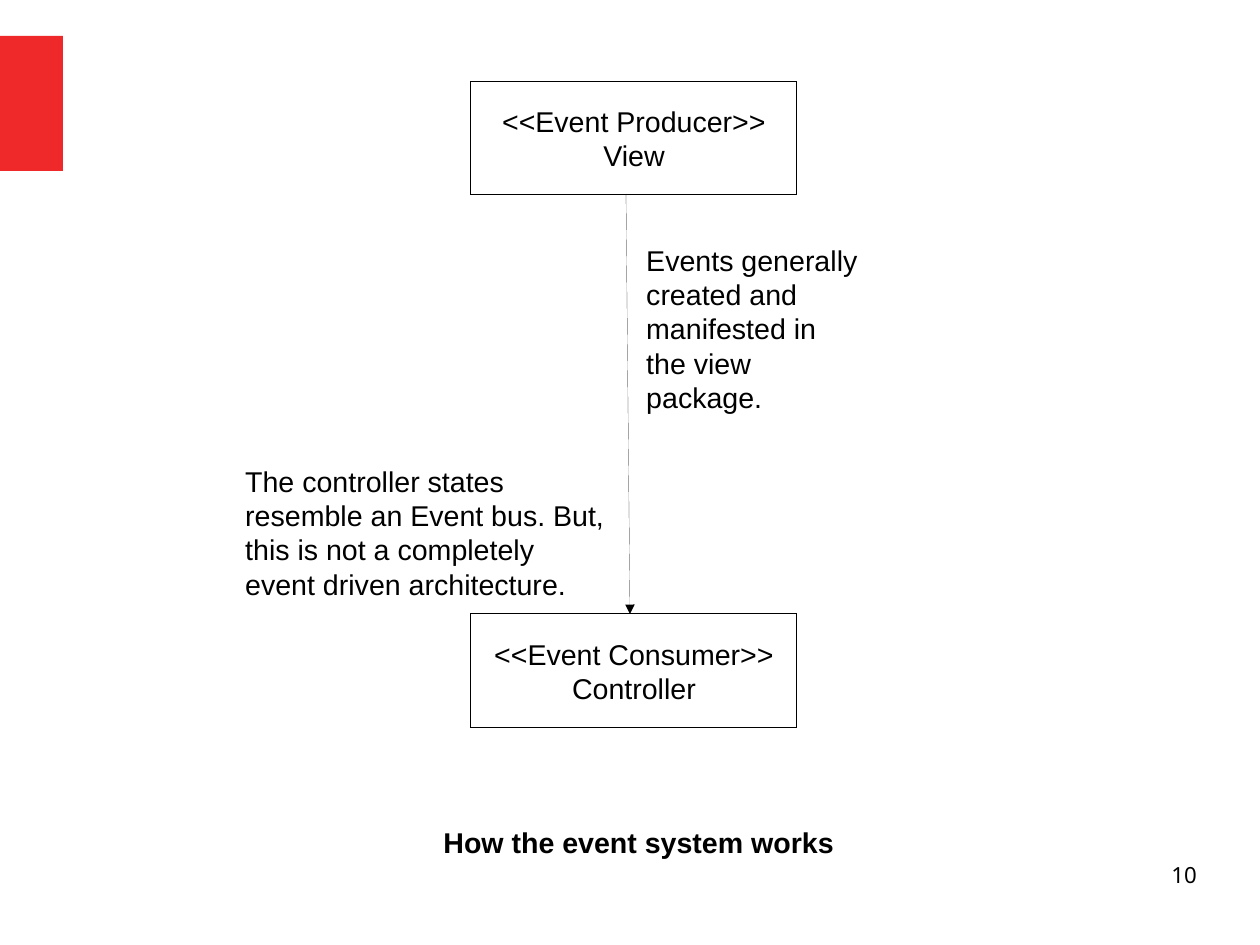
from lxml import etree
from pptx import Presentation
from pptx.dml.color import RGBColor
from pptx.enum.shapes import MSO_CONNECTOR, MSO_SHAPE
from pptx.enum.text import MSO_ANCHOR, MSO_AUTO_SIZE, PP_ALIGN
from pptx.oxml.ns import qn
from pptx.util import Pt

PX = 8000  # EMU in one px: 1260 px make 28 cm
BLACK = RGBColor(0x00, 0x00, 0x00)
WHITE = RGBColor(0xFF, 0xFF, 0xFF)
RED = RGBColor(0xEF, 0x29, 0x29)
RECT = MSO_SHAPE.RECTANGLE
STRAIGHT = MSO_CONNECTOR.STRAIGHT
LEFT, CENTER, RIGHT = PP_ALIGN.LEFT, PP_ALIGN.CENTER, PP_ALIGN.RIGHT
TOP, MIDDLE = MSO_ANCHOR.TOP, MSO_ANCHOR.MIDDLE
FIXED, GROW = MSO_AUTO_SIZE.NONE, MSO_AUTO_SIZE.SHAPE_TO_FIT_TEXT
BODY = {"name": "Arial", "size": Pt(18), "bold": False}
HEAD = {**BODY, "bold": True}
PAGE = {"name": "Noto Sans", "size": Pt(14), "bold": False}
INSET = (Pt(7.2), Pt(3.6))


def emu(*vals):
    return [v * PX for v in vals]


def write(shape, text, style=BODY, align=LEFT, anchor=TOP, pad=INSET,
          wrap=True, fit=FIXED):
    frame = shape.text_frame
    dx, dy = pad
    form = {"margin_left": dx, "margin_right": dx, "margin_top": dy,
            "margin_bottom": dy, "vertical_anchor": anchor,
            "auto_size": fit, "word_wrap": wrap}
    for key, val in form.items():
        setattr(frame, key, val)
    para = frame.paragraphs[0]
    para.text = text
    para.alignment = align
    for key, val in style.items():
        setattr(para.font, key, val)
    para.font.color.rgb = BLACK


def hairline(shape):
    """Thinnest black line, with no theme style behind it."""
    shape._element.remove(shape._element.find(qn("p:style")))
    shape.line.color.rgb = BLACK
    shape.line.width = Pt(0)


def block(slide, box, fill):
    shape = slide.shapes.add_shape(RECT, *emu(*box))
    shape.shadow.inherit = False
    shape.fill.solid()
    shape.fill.fore_color.rgb = fill
    shape.line.fill.background()
    return shape


def node(slide, box, text):
    shape = block(slide, box, WHITE)
    hairline(shape)
    write(shape, text, align=CENTER, anchor=MIDDLE, wrap=False)


def arrow(slide, start, end):
    link = slide.shapes.add_connector(STRAIGHT, *emu(*start, *end))
    hairline(link)
    etree.SubElement(link.line._get_or_add_ln(), qn("a:tailEnd"), type="triangle")
    etree.SubElement(link._element.spPr, qn("a:effectLst"))


def note(slide, box, text, **form):
    write(slide.shapes.add_textbox(*emu(*box)), text, **form)


def flow(slide, x, y, w, h):
    """Producer above consumer, with an arrow and two notes."""
    tall = 114
    low = y + h - tall
    node(slide, (x, y, w, tall), "<<Event Producer>>\nView")
    node(slide, (x, low, w, tall), "<<Event Consumer>>\nController")
    arrow(slide, (x + 155, y + tall), (x + 159, low))
    note(slide, (x + 164, y + 156, 238, 171),
         "Events generally created and manifested in the view package.", fit=GROW)
    note(slide, (x - 237, y + 377, 388, 139),
         "The controller states resemble an Event bus. But, "
         "this is not a completely event driven architecture.", fit=GROW)


def caption(slide, x, y, w, h):
    title = slide.shapes.title
    title.left, title.top, title.width, title.height = emu(x, y, w, h)
    write(title, "How the event system works", HEAD)


def main():
    deck = Presentation()
    deck.slide_width, deck.slide_height = emu(1260, 945)
    slide = deck.slides.add_slide(deck.slide_layouts[5])
    # Side mark
    block(slide, (0, 36, 63, 135), RED)
    # Diagram
    flow(slide, 471, 81, 326, 647)
    # Caption and page number
    caption(slide, 432, 819, 414, 43)
    note(slide, (903, 861, 294, 65), "10", style=PAGE, align=RIGHT, pad=(0, 0))
    deck.save("out.pptx")


if __name__ == "__main__":
    main()
